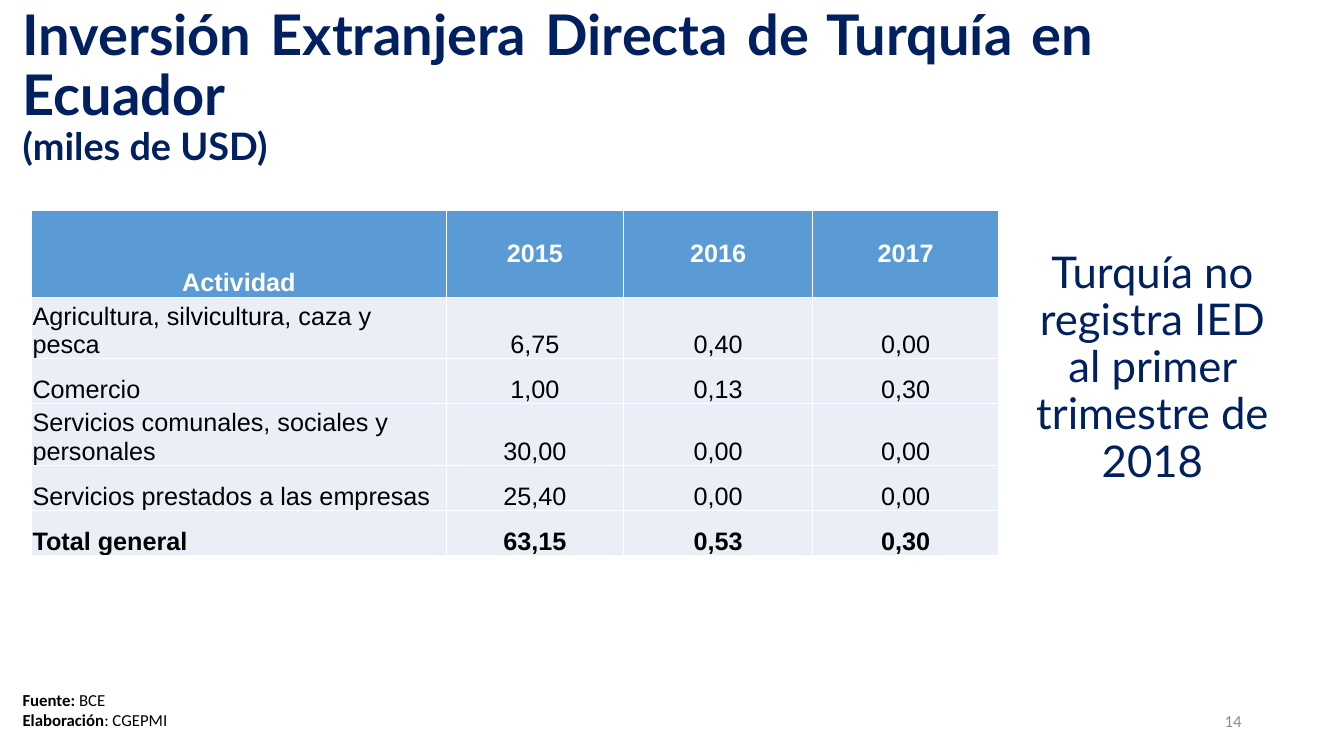
from lxml import etree
from pptx import Presentation
from pptx.dml.color import RGBColor
from pptx.enum.text import MSO_ANCHOR, MSO_AUTO_SIZE, PP_ALIGN
from pptx.oxml.ns import qn
from pptx.util import Pt

PX = 9525  # EMU per pixel, 96 pixels to the inch
TITLE_ONLY = 5
LEFT, CENTER, RIGHT = PP_ALIGN.LEFT, PP_ALIGN.CENTER, PP_ALIGN.RIGHT
JUSTIFY = PP_ALIGN.JUSTIFY
TOP, MIDDLE, BOTTOM = MSO_ANCHOR.TOP, MSO_ANCHOR.MIDDLE, MSO_ANCHOR.BOTTOM
COLORS = {
    "navy": "002060",
    "header": "5B9BD5",
    "row": "EAEFF7",
    "white": "FFFFFF",
    "black": "000000",
    "gray": "8C8C8C",
}

COLUMN_WIDTHS = [395, 169, 180, 177]
ROW_HEIGHTS = [83, 43, 43, 58, 43, 43]
INVESTMENT = [
    ["Actividad", "2015", "2016", "2017"],
    ["Agricultura, silvicultura, caza y pesca", "6,75", "0,40", "0,00"],
    ["Comercio", "1,00", "0,13", "0,30"],
    ["Servicios comunales, sociales y personales", "30,00", "0,00", "0,00"],
    ["Servicios prestados a las empresas", "25,40", "0,00", "0,00"],
    ["Total general", "63,15", "0,53", "0,30"],
]


def color(name):
    return RGBColor.from_string(COLORS[name])


def emu(box):
    return [length * PX for length in box]


def format_paragraph(paragraph, font_name, size, color_name, align=LEFT, bold=False):
    paragraph.alignment = align
    font = paragraph.font
    font.name, font.size, font.bold = font_name, Pt(size), bold
    font.color.rgb = color(color_name)


def add_text_box(slide, box, anchor):
    frame = slide.shapes.add_textbox(*emu(box)).text_frame
    frame.word_wrap = True
    frame.vertical_anchor = anchor
    return frame


# Heading with a smaller unit line
def add_title(slide, box):
    title = slide.shapes.title
    title.left, title.top, title.width, title.height = emu(box)
    frame = title.text_frame
    frame.auto_size = MSO_AUTO_SIZE.NONE
    frame.vertical_anchor = MIDDLE
    paragraph = frame.paragraphs[0]
    format_paragraph(paragraph, "Lato", 40, "navy", JUSTIFY, bold=True)
    paragraph.line_spacing = 0.9
    paragraph.add_run().text = "Inversión Extranjera Directa de Turquía en Ecuador"
    paragraph.add_line_break()
    unit = paragraph.add_run()
    unit.text = "(miles de USD)"
    unit.font.size = Pt(27)


def add_borders(cell):
    properties = cell._tc.get_or_add_tcPr()
    for side in ("lnL", "lnR", "lnT", "lnB"):
        line = etree.SubElement(properties, qn(f"a:{side}"), w=str(Pt(1)))
        fill = etree.SubElement(line, qn("a:solidFill"))
        etree.SubElement(fill, qn("a:srgbClr"), val=COLORS["white"])


def fill_cell(cell, text, row, column):
    is_header = row == 0
    add_borders(cell)
    cell.fill.solid()
    cell.fill.fore_color.rgb = color("header" if is_header else "row")
    cell.margin_left = cell.margin_right = cell.margin_top = PX
    cell.margin_bottom = 0
    cell.vertical_anchor = MIDDLE if is_header and column else BOTTOM
    cell.text = text
    format_paragraph(
        cell.text_frame.paragraphs[0],
        "Arial",
        18,
        "white" if is_header else "black",
        CENTER if is_header or column else LEFT,
        bold=row in (0, len(INVESTMENT) - 1),
    )


# Investment by activity and year
def add_investment_table(slide, left, top):
    box = (left, top, sum(COLUMN_WIDTHS), sum(ROW_HEIGHTS))
    table = slide.shapes.add_table(
        len(ROW_HEIGHTS), len(COLUMN_WIDTHS), *emu(box)
    ).table
    for column, width in zip(table.columns, COLUMN_WIDTHS):
        column.width = width * PX
    for row, height in zip(table.rows, ROW_HEIGHTS):
        row.height = height * PX
    for row, values in enumerate(INVESTMENT):
        for column, text in enumerate(values):
            fill_cell(table.cell(row, column), text, row, column)


# Remark beside the table
def add_remark(slide, box):
    paragraph = add_text_box(slide, box, MIDDLE).paragraphs[0]
    paragraph.text = "Turquía no registra IED al primer trimestre de 2018"
    format_paragraph(paragraph, "Lato", 31.2, "navy", CENTER)
    paragraph.line_spacing = 0.9


# Source and author lines
def add_source(slide, box):
    frame = add_text_box(slide, box, TOP)
    lines = [("Fuente: ", "BCE"), ("Elaboración", ": CGEPMI")]
    for index, (label, value) in enumerate(lines):
        paragraph = frame.add_paragraph() if index else frame.paragraphs[0]
        format_paragraph(paragraph, "Calibri", 12, "black")
        label_run = paragraph.add_run()
        label_run.text = label
        label_run.font.bold = True
        paragraph.add_run().text = value


def add_page_number(slide, box):
    paragraph = add_text_box(slide, box, MIDDLE).paragraphs[0]
    paragraph.text = "14"
    format_paragraph(paragraph, "Calibri", 12, "gray", RIGHT)


def main():
    presentation = Presentation()
    presentation.slide_width, presentation.slide_height = emu((1280, 720))
    slide = presentation.slides.add_slide(presentation.slide_layouts[TITLE_ONLY])
    add_title(slide, (12, 14, 1039, 139))
    add_source(slide, (12, 652, 546, 68))
    add_page_number(slide, (904, 667, 288, 38))
    add_investment_table(slide, 30, 200)
    add_remark(slide, (966, 229, 263, 244))
    presentation.save("out.pptx")


if __name__ == "__main__":
    main()
